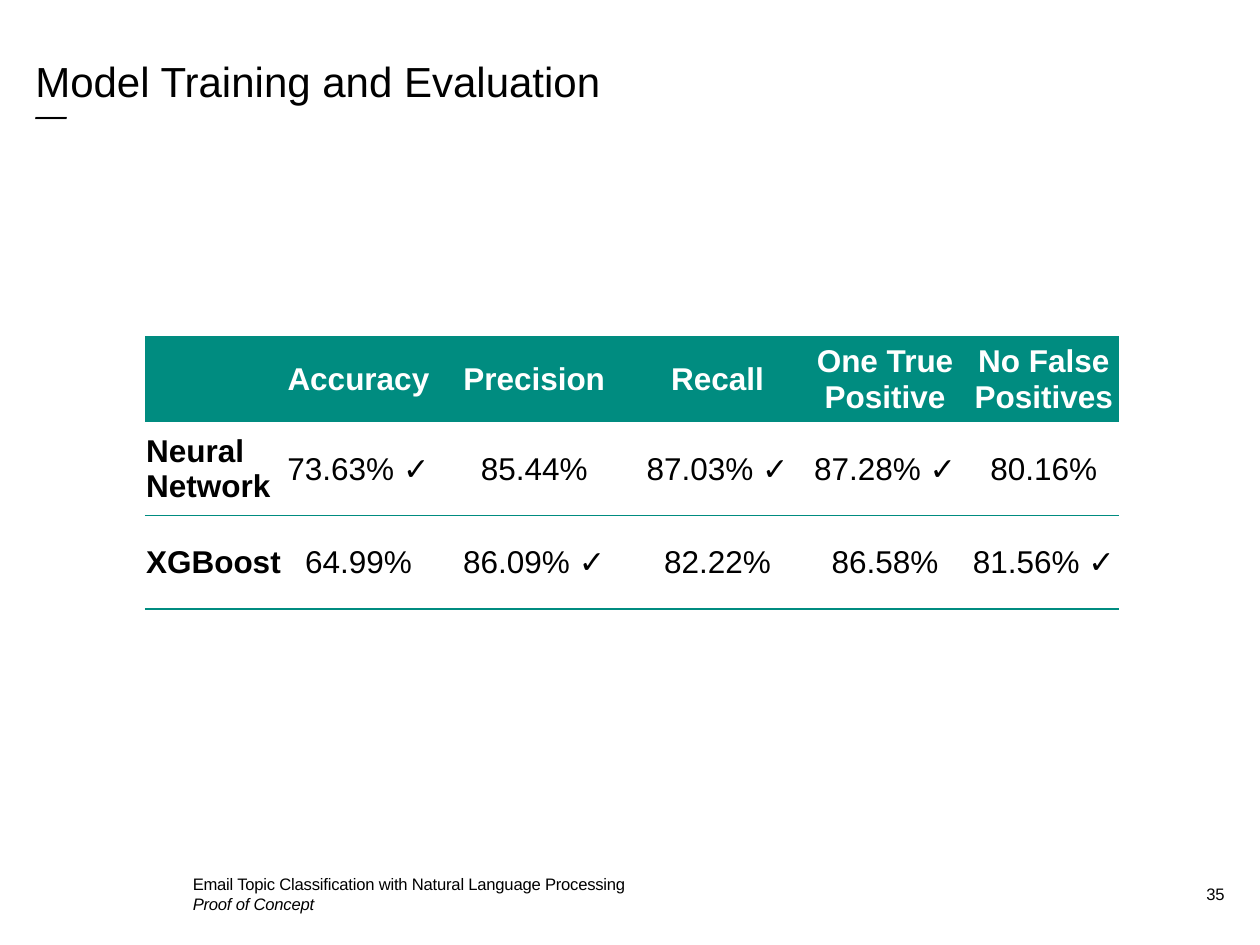
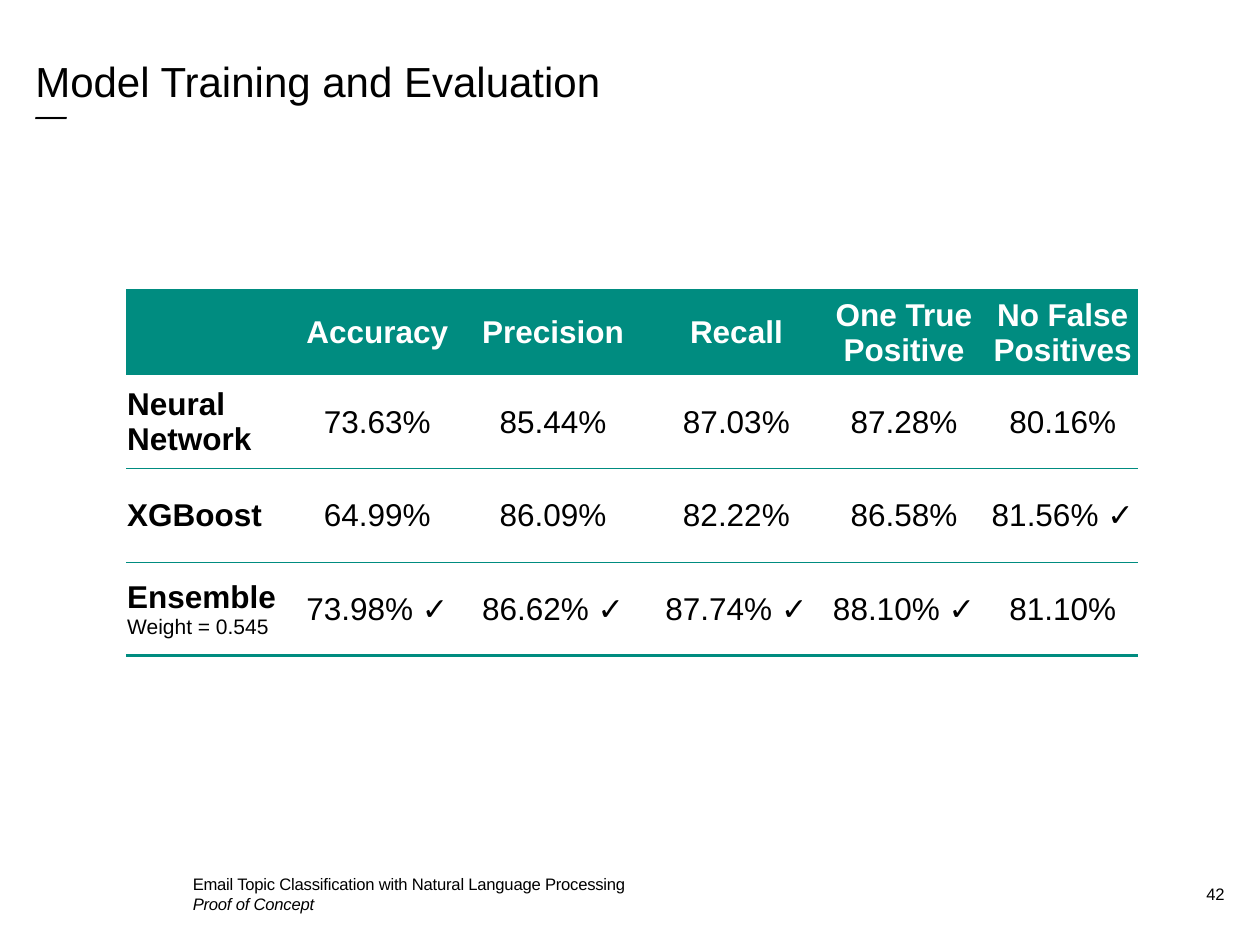
from lxml.etree import SubElement
from pptx import Presentation
from pptx.dml.color import RGBColor
from pptx.enum.text import MSO_ANCHOR as Anchor, PP_ALIGN as Align
from pptx.oxml import parse_xml
from pptx.oxml.ns import nsdecls, qn
from pptx.util import Inches, Pt

TEAL = RGBColor(0x00, 0x8C, 0x80)
BLACK = RGBColor(0x00, 0x00, 0x00)
WHITE = RGBColor(0xFF, 0xFF, 0xFF)
FACE = "Arial"
WIDE, HIGH = Inches(10), Inches(7.5)
PAD = Inches(0.04)
PLAIN = "{2D5ABB26-0587-4C30-8999-92F81FD0307C}"
THIN, THICK = 0.5, 1.5
MID = 50.15
HEAD_ROW, BODY_ROW = 9.07, 9.9
DATA_COLS = [12.1, 15.8, 13.3, 13.3, 11.9]
HEADS = ["", "Accuracy", "Precision", "Recall", "One True Positive", "No False Positives"]
DUO = [
    ["Neural Network", "73.63% ✓", "85.44%", "87.03% ✓", "87.28% ✓", "80.16%"],
    ["XGBoost", "64.99%", "86.09% ✓", "82.22%", "86.58%", "81.56% ✓"],
]
TRIO = [
    ["Neural Network", "73.63%", "85.44%", "87.03%", "87.28%", "80.16%"],
    ["XGBoost", "64.99%", "86.09%", "82.22%", "86.58%", "81.56% ✓"],
    ["Ensemble\nWeight = 0.545", "73.98% ✓", "86.62% ✓", "87.74% ✓", "88.10% ✓", "81.10%"],
]


def across(share):
    return round(WIDE * share / 100)


def down(share):
    return round(HIGH * share / 100)


def style(para, size, color=BLACK, bold=False, italic=False):
    font = para.font
    font.name, font.size = FACE, Pt(size)
    font.bold, font.italic = bold, italic
    font.color.rgb = color


def add_text(slide, x, y, w, h, lines, size, anchor=Anchor.TOP, align=Align.LEFT, left=PAD):
    box = slide.shapes.add_textbox(across(x), down(y), across(w), down(h))
    frame = box.text_frame
    frame.word_wrap = True
    frame.vertical_anchor = anchor
    frame.margin_left = left
    frame.margin_top = frame.margin_right = frame.margin_bottom = PAD
    frame.text = "\n".join(text for text, _ in lines)
    for para, (_, italic) in zip(frame.paragraphs, lines):
        para.alignment = align
        style(para, size, italic=italic)
    return frame


def add_frame(slide, number):
    add_text(slide, 90.1, 89.2, 7.5, 6.93, [(number, False)], 9.5,
             Anchor.BOTTOM, Align.RIGHT, 0)
    add_text(slide, 2.4, 9.47, 95.7, 11.2, [("—", True)], 18)
    add_text(slide, 2.4, 5.33, 95.7, 4.67, [("Model Training and Evaluation", False)], 24)
    foot = add_text(slide, 14.9, 92.27, 40.4, 4.93, [
        ("Email Topic Classification with Natural Language Processing", False),
        ("Proof of Concept", True)], 9.5, Anchor.BOTTOM)
    for para in foot.paragraphs:
        para.line_spacing = Pt(11.4)
        for run in para.runs:
            run.font._element.set("spc", "-10")


def add_edge(cell, side, width):
    edge = parse_xml(f'<a:{side} {nsdecls("a")} w="{Pt(width)}"/>')
    fill = SubElement(edge, qn("a:solidFill"))
    SubElement(fill, qn("a:srgbClr"), val=str(TEAL))
    cell._tc.get_or_add_tcPr().insert(0, edge)


def set_cell(cell, text, head, label):
    cell.vertical_anchor = Anchor.MIDDLE
    cell.margin_left = cell.margin_right = cell.margin_top = Inches(0.01)
    cell.margin_bottom = 0
    if head:
        cell.fill.solid()
        cell.fill.fore_color.rgb = TEAL
    else:
        cell.fill.background()
    for i, line in enumerate(text.split("\n")):
        frame = cell.text_frame
        para = frame.add_paragraph() if i else frame.paragraphs[0]
        para.alignment = Align.LEFT if label else Align.CENTER
        style(para, 12 if i else 18, WHITE if head else BLACK,
              (head or label) and not i)
        value, mark, _ = line.partition("✓")
        para.add_run().text = value
        if mark:
            tick = para.add_run()
            tick.text = mark
            tick.font.bold = True


def add_scores(slide, first, body):
    rows = [HEADS] + body
    cols = [first] + DATA_COLS
    tall = HEAD_ROW + BODY_ROW * len(body)
    shape = slide.shapes.add_table(
        len(rows), len(cols), across(MID - sum(cols) / 2), down((100 - tall) / 2),
        across(sum(cols)), down(tall))
    table = shape.table
    table.first_row = table.horz_banding = False
    table._tbl.tblPr.find(qn("a:tableStyleId")).text = PLAIN
    for col, width in zip(table.columns, cols):
        col.width = across(width)
    for r, row in enumerate(rows):
        table.rows[r].height = down(BODY_ROW if r else HEAD_ROW)
        for c, text in enumerate(row):
            cell = table.cell(r, c)
            set_cell(cell, text, r == 0, c == 0)
            if r:
                add_edge(cell, "lnB", THICK if r == len(body) else THIN)
            if r > 1:
                add_edge(cell, "lnT", THIN)


def main():
    deck = Presentation()
    deck.slide_width, deck.slide_height = WIDE, HIGH
    for number, first, body in [("35", 10.9, DUO), ("42", 13.9, TRIO)]:
        slide = deck.slides.add_slide(deck.slide_layouts[6])
        add_frame(slide, number)
        add_scores(slide, first, body)
    deck.save("out.pptx")


if __name__ == "__main__":
    main()
